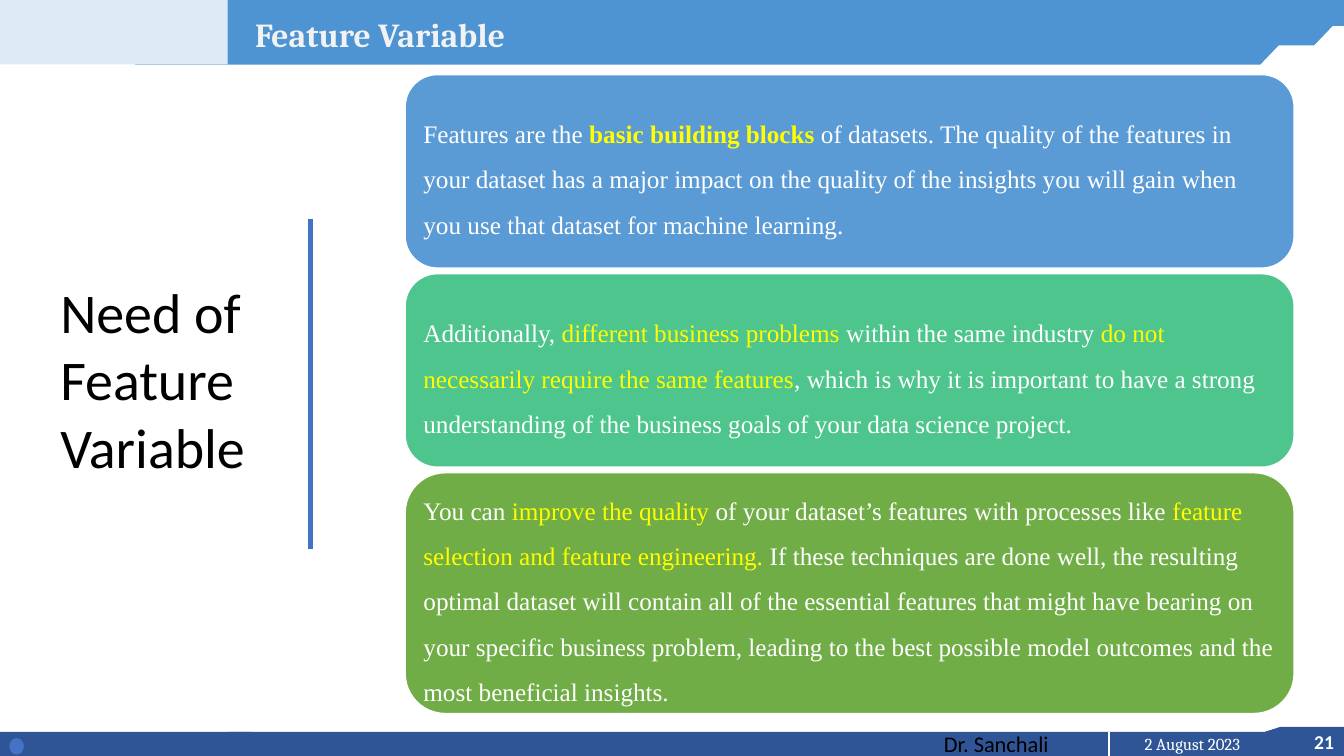
import pptx
import pptx.util
import pptx.dml.color
import pptx.enum.shapes
import pptx.enum.text
import pptx.oxml.ns
import lxml.etree

Pt = pptx.util.Pt
SHAPE = pptx.enum.shapes.MSO_SHAPE
ALIGN = pptx.enum.text.PP_ALIGN
ANCHOR = pptx.enum.text.MSO_ANCHOR

COLORS = {
    "white": "FFFFFF", "black": "000000", "yellow": "FFFF00", "title": "F2F2F2",
    "header": "4E93D2", "header_pale": "DEEBF7", "footer": "2F5597",
    "accent": "4472C4", "blue": "5B9BD5", "teal": "4DC58D", "green": "70AD47",
}

# Each card is a fill, a height and runs; a run is its text and its format
KEY = {"color": "yellow"}
CARDS = [
    ("blue", 138.2, [
        ("Features are the ", {}),
        ("basic building blocks ", {"color": "yellow", "bold": True}),
        ("of datasets. The quality of the features in your dataset has a major impact on "
         "the quality of the insights you will gain when you use that dataset for "
         "machine learning.", {}),
    ]),
    ("teal", 138.2, [
        ("Additionally, ", {}),
        ("different business problems ", KEY),
        ("within the same industry ", {}),
        ("do not necessarily require the same features", KEY),
        (", which is why it is important to have a strong understanding of the business "
         "goals of your data science project.", {}),
    ]),
    ("green", 172, [
        ("You can ", {}),
        ("improve the quality", KEY),
        (" of your dataset’s features with processes like ", {}),
        ("feature selection and feature engineering.", KEY),
        (" If these techniques are done well, the resulting optimal dataset will contain "
         "all of the essential features that might have bearing on your specific business "
         "problem, leading to the best possible model outcomes and the most beneficial "
         "insights.", {}),
    ]),
]


def rgb(name):
    return pptx.dml.color.RGBColor.from_string(COLORS[name])


def add_run(paragraph, text, *, font="Times New Roman", size=18, color="white", bold=False):
    run = paragraph.add_run()
    run.text = text
    run.font.name = font
    run.font.size = Pt(size)
    run.font.bold = bold
    run.font.color.rgb = rgb(color)


def write(shape, text, *, align=ALIGN.LEFT, anchor=ANCHOR.TOP, insets=(7.2, 3.6, 7.2, 3.6),
          line_spacing=None, space_after=None, **run_format):
    """Fill a shape with one paragraph, given as a string or a list of runs."""
    frame = shape.text_frame
    frame.word_wrap = True
    frame.auto_size = pptx.enum.text.MSO_AUTO_SIZE.NONE
    frame.vertical_anchor = anchor
    (frame.margin_left, frame.margin_top,
     frame.margin_right, frame.margin_bottom) = map(Pt, insets)
    paragraph = frame.paragraphs[0]
    paragraph.alignment = align
    if line_spacing:
        paragraph.line_spacing = line_spacing
    if space_after:
        paragraph.space_after = Pt(space_after)
    runs = [(text, {})] if isinstance(text, str) else text
    for words, own_format in runs:
        add_run(paragraph, words, **{**run_format, **own_format})


def add_block(slide, kind, box, fill, outline=None):
    block = slide.shapes.add_shape(kind, *map(Pt, box))
    block.shadow.inherit = False
    block.fill.solid()
    block.fill.fore_color.rgb = rgb(fill)
    if outline:
        block.line.color.rgb = rgb(outline)
        block.line.width = Pt(1)
    else:
        block.line.fill.background()
    return block


def add_label(slide, box, text, **text_format):
    write(slide.shapes.add_textbox(*map(Pt, box)), text, **text_format)


def add_rule(slide, x, top, bottom, color, width):
    rule = slide.shapes.add_connector(
        pptx.enum.shapes.MSO_CONNECTOR.STRAIGHT, Pt(x), Pt(top), Pt(x), Pt(bottom))
    rule.line.color.rgb = rgb(color)
    rule.line.width = Pt(width)
    lxml.etree.SubElement(rule.element.spPr, pptx.oxml.ns.qn("a:effectLst"))


def add_header(slide, left, top, width, height):
    # Stepped band and pale corner
    bands = [(131, 0, 830, 19.4, 0), (139, 8.6, 823, 24.5, 0.95), (96.5, 26.6, 823, 20.2, 0.95)]
    for dx, dy, band_width, band_height, slant in bands:
        band = add_block(slide, SHAPE.PARALLELOGRAM,
                         (left + dx, top + dy, band_width, band_height), "header")
        band.adjustments[0] = slant
    add_block(slide, SHAPE.RECTANGLE, (left, top, 162.7, height), "header_pale")

    # Title, brought in front of the band
    title = slide.shapes.title
    title.left, title.top = Pt(left + 175), Pt(top + 7.2)
    title.width, title.height = Pt(width - 202.5), Pt(36)
    write(title, "Feature Variable", font="Cambria", size=24, color="title", bold=True)
    slide.shapes.element.append(title.element)


def add_footer(slide, left, top, width, height):
    # Bars with the presenter's name
    right = left + width
    add_block(slide, SHAPE.FLOWCHART_CARD, (right - 56.5, top - 3.6, 56.9, 18), "footer")
    add_block(slide, SHAPE.RECTANGLE, (left, top, 180, height), "footer")
    presenter = add_block(slide, SHAPE.RECTANGLE,
                          (left + 163.4, top, width - 163.4, height), "footer")
    write(presenter, "Dr. Sanchali", anchor=ANCHOR.MIDDLE, insets=(510.8, 0, 0, 0),
          font="Calibri", size=16, color="black")

    # Slide number, date and marker
    add_label(slide, (right - 65, top - 5, 65, 24.5), "21", align=ALIGN.RIGHT,
              font="Calibri", size=14, bold=True)
    add_label(slide, (right - 168, top - 2.2, 119.5, 21.6), "2 August 2023",
              align=ALIGN.CENTER, font="Cambria", size=12)
    add_rule(slide, right - 168, top, top + 18, "white", 1.5)
    add_block(slide, SHAPE.FLOWCHART_CONNECTOR, (left + 7.2, top + 5, 9.4, 10.8),
              "accent", "accent")


def add_topic(slide, left, top, width, height):
    add_label(slide, (left, top, 159, height), "Need of Feature Variable",
              anchor=ANCHOR.MIDDLE, font="Calibri", size=40, color="black")
    add_rule(slide, left + width, top + 105.8, top + 342, "accent", 3)


def add_cards(slide, left, top, width, gap=4):
    for fill, height, runs in CARDS:
        card = add_block(slide, SHAPE.ROUNDED_RECTANGLE, (left, top, width, height),
                         fill, "white")
        # The rounded corner already insets the text, so only the rest is added
        side = round(13 - 0.29 * height / 6, 2)
        write(card, runs, anchor=ANCHOR.MIDDLE, insets=(side, 0, side, 0),
              line_spacing=1.5, space_after=6.3)
        top += height + gap


def main():
    deck = pptx.Presentation()
    deck.slide_width, deck.slide_height = Pt(960), Pt(540)
    slide = deck.slides.add_slide(deck.slide_layouts[5])
    add_footer(slide, 0, 522.7, 960, 17.3)
    add_header(slide, 0, -0.7, 960, 46.8)
    add_topic(slide, 36, 50.4, 185.8, 440)
    add_cards(slide, 289.4, 53.3, 635)
    deck.save("out.pptx")


if __name__ == "__main__":
    main()
